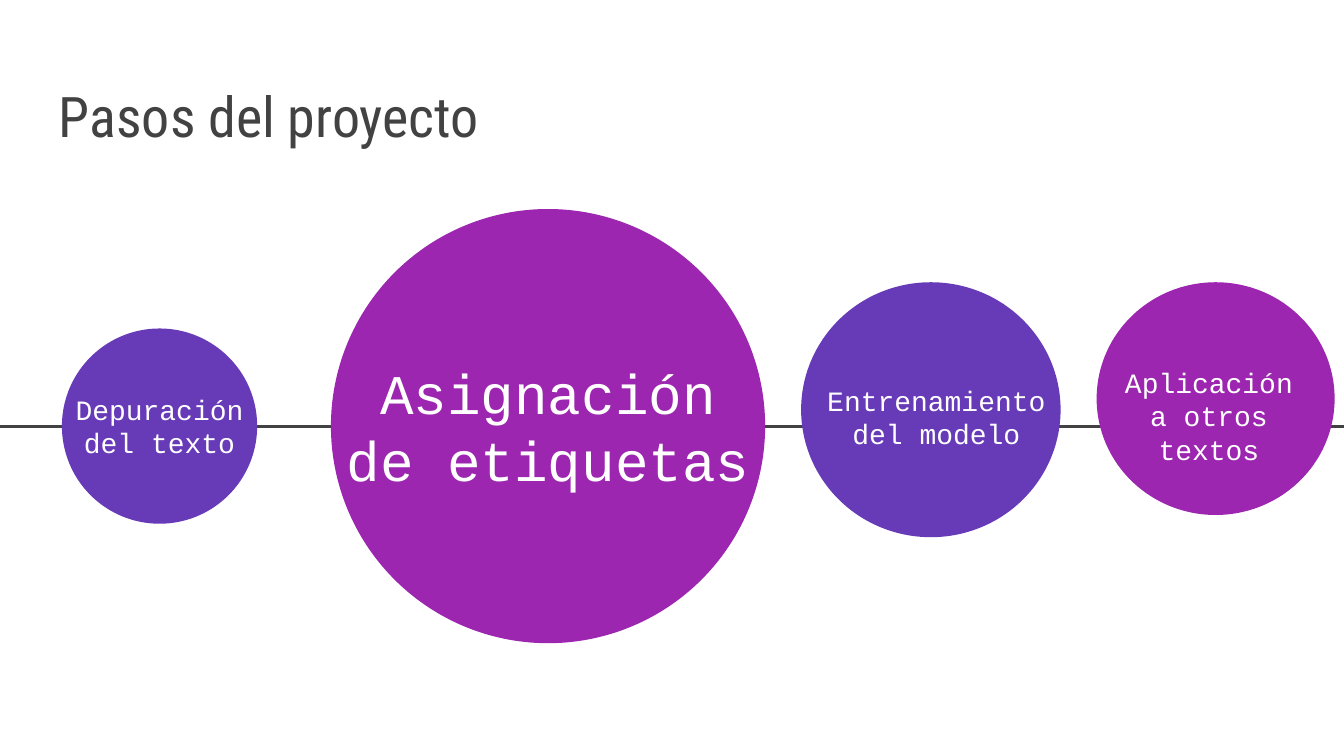
import pptx
import pptx.util
import pptx.dml.color
import pptx.enum.shapes
import pptx.enum.text
import pptx.oxml.ns
import lxml.etree

Pt = pptx.util.Pt
GREY, VIOLET, PURPLE, WHITE = "424242", "673AB7", "9C26B0", "FFFFFF"


def color(hex_code):
    return pptx.dml.color.RGBColor.from_string(hex_code)


def add_text(box, text, font, size, hex_code, align, anchor):
    left, top, width, height = [Pt(value) for value in box]
    frame = slide.shapes.add_textbox(left, top, width, height).text_frame
    frame.word_wrap = True
    frame.vertical_anchor = anchor
    frame.margin_left = frame.margin_right = Pt(7.2)
    frame.margin_top = frame.margin_bottom = Pt(7.2)
    frame.text = text
    paragraph = frame.paragraphs[0]
    paragraph.alignment = align
    run_font = paragraph.runs[0].font
    run_font.name = font
    run_font.size = Pt(size)
    run_font.color.rgb = color(hex_code)


presentation = pptx.Presentation()
presentation.slide_width = Pt(720)
presentation.slide_height = Pt(405)
slide = presentation.slides.add_slide(presentation.slide_layouts[6])
slide.background.fill.solid()
slide.background.fill.fore_color.rgb = color(WHITE)

# Timeline behind the steps
timeline = slide.shapes.add_connector(
    pptx.enum.shapes.MSO_CONNECTOR.STRAIGHT, Pt(-0.5), Pt(228.5), Pt(720), Pt(228.5))
timeline.line.color.rgb = color(GREY)
timeline.line.width = Pt(1.5)
lxml.etree.SubElement(timeline._element.spPr, pptx.oxml.ns.qn("a:effectLst"))

# Title
add_text((24.5, 29.5, 671, 57.5), "Pasos del proyecto", "Roboto Condensed", 30, GREY,
         pptx.enum.text.PP_ALIGN.LEFT, pptx.enum.text.MSO_ANCHOR.BOTTOM)

# Steps: label, font size, fill, circle box, label box
steps = [
    ("Depuración del texto", 15, VIOLET,
     (33.2, 176, 104.6, 104.6), (33, 204.5, 105, 47.5)),
    ("Asignación de etiquetas", 30, PURPLE,
     (177.3, 112, 232.6, 232.6), (177.3, 204.5, 232.6, 47.5)),
    ("Entrenamiento del modelo", 15, VIOLET,
     (429.2, 151.2, 139, 136.6), (435.4, 194.5, 132.6, 57.5)),
    ("Aplicación a otros textos", 15, PURPLE,
     (587.5, 151.2, 127.5, 124.7), (595.2, 192.5, 105, 60.5)),
]
for label, size, fill, circle_box, label_box in steps:
    circle = slide.shapes.add_shape(
        pptx.enum.shapes.MSO_SHAPE.OVAL, *[Pt(value) for value in circle_box])
    circle.shadow.inherit = False
    circle.fill.solid()
    circle.fill.fore_color.rgb = color(fill)
    circle.line.fill.background()
    add_text(label_box, label, "Courier New", size, WHITE,
             pptx.enum.text.PP_ALIGN.CENTER, pptx.enum.text.MSO_ANCHOR.MIDDLE)

presentation.save("out.pptx")
